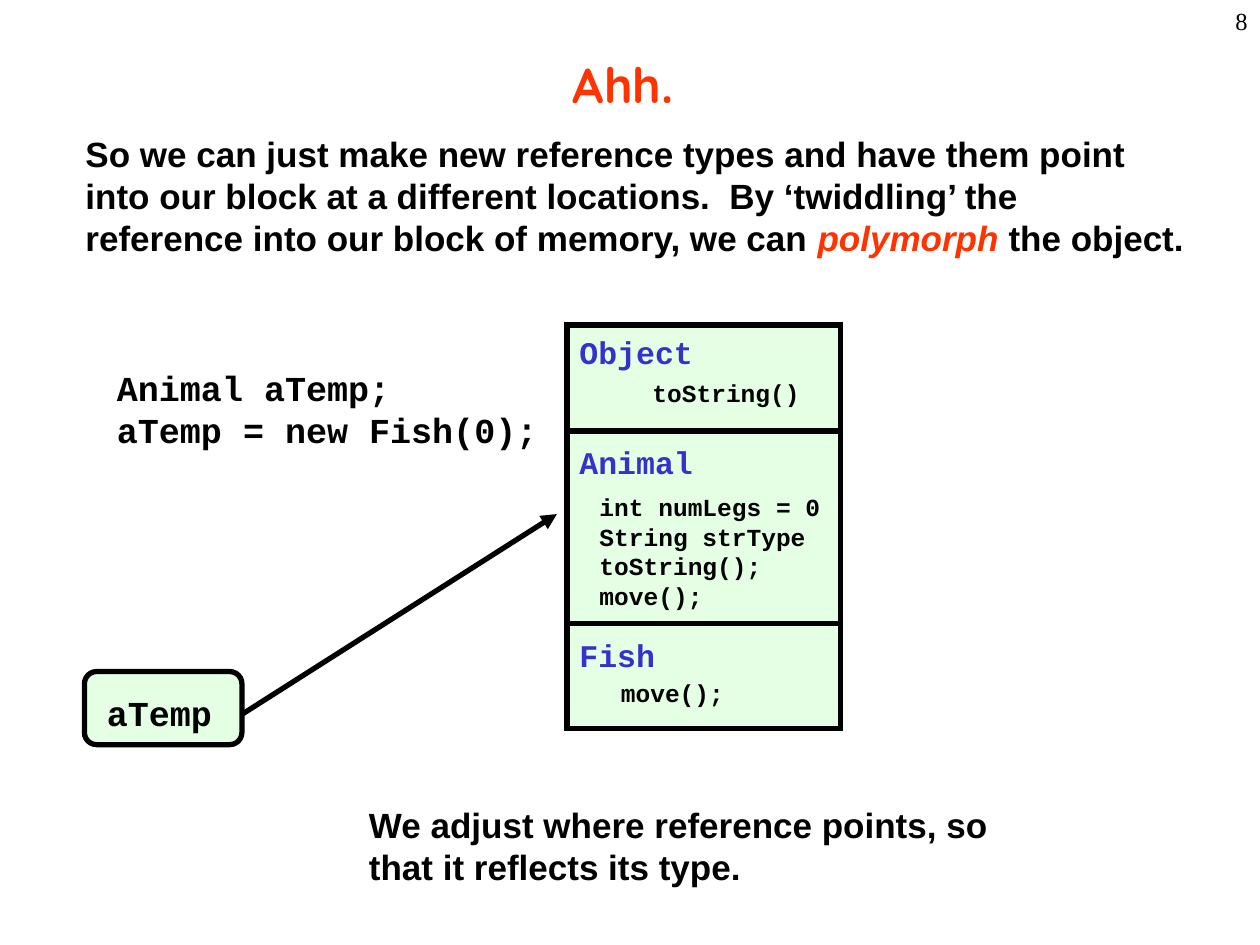
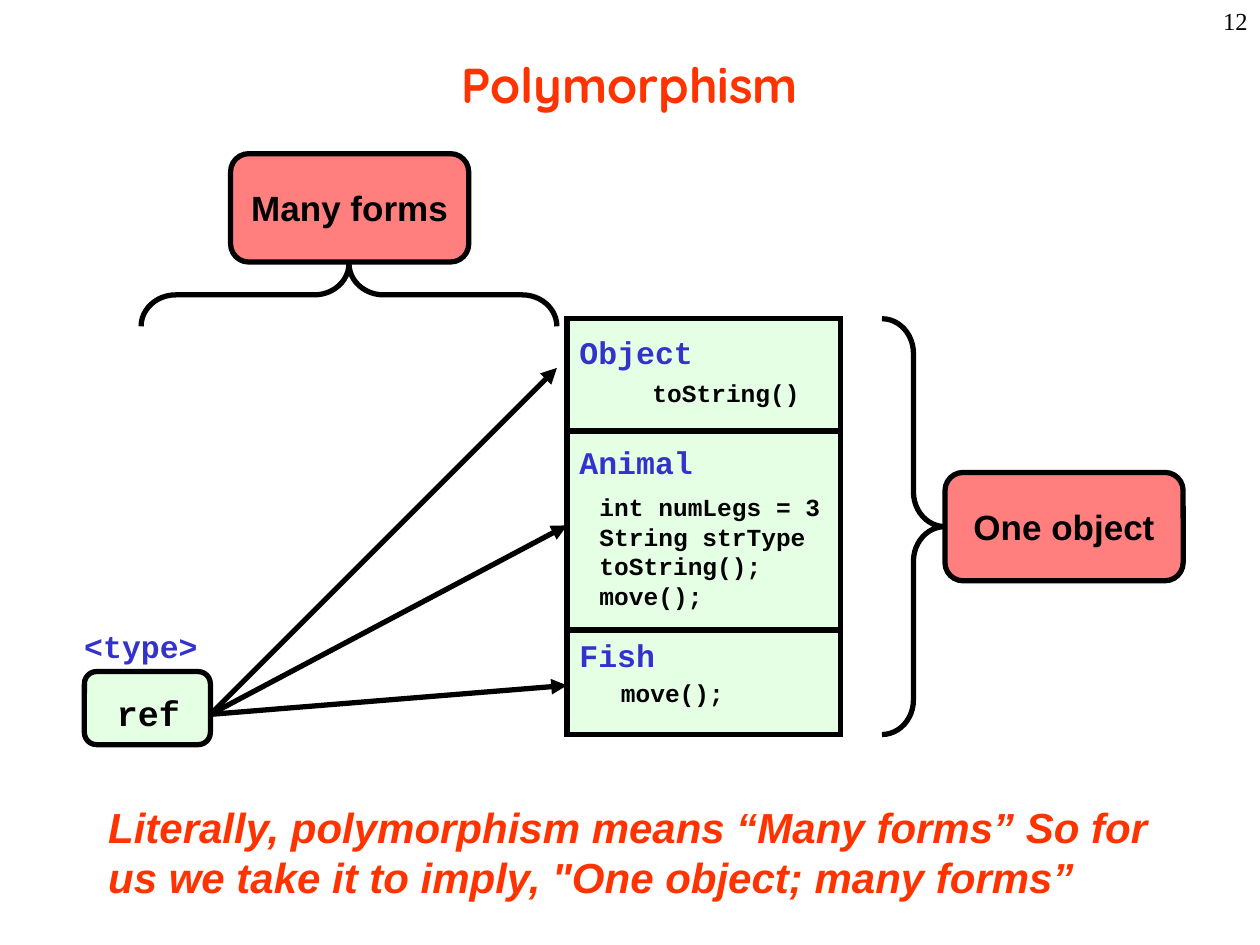
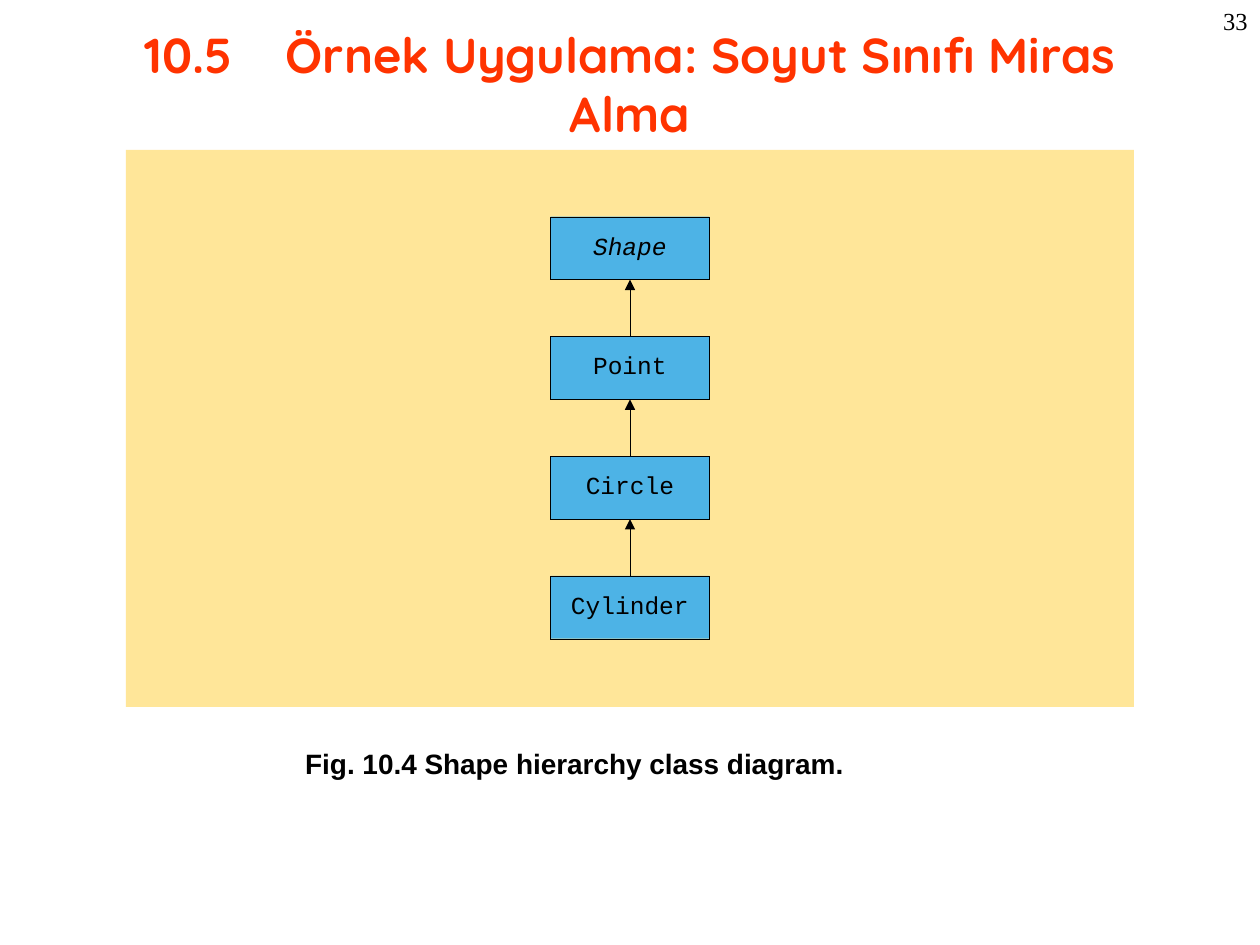
"""Build three slides on polymorphism and a class hierarchy."""
from dataclasses import dataclass

from lxml import etree
from pptx import Presentation
from pptx import slide as sl
from pptx import util as u
from pptx.dml import color
from pptx.enum import shapes, text
from pptx.oxml import ns
from pptx.shapes import autoshape as au
from pptx.shapes import connector as co
from pptx.text import text as tx

BLACK, RED, BLUE = "000000", "FF3300", "3333CC"
MINT, ROSE = "CCFFCC", "FF0000"
SAND, SKY = "FFE699", "4DB3E6"
SANS, MONO, HEAD, SERIF = "Arial", "Courier New", "Quicksand", "Times New Roman"
LEFT, MID, RIGHT = text.PP_ALIGN.LEFT, text.PP_ALIGN.CENTER, text.PP_ALIGN.RIGHT
RECT = shapes.MSO_SHAPE.RECTANGLE
ROUND = shapes.MSO_SHAPE.ROUNDED_RECTANGLE
BRACE = shapes.MSO_SHAPE.RIGHT_BRACE
THICK, THIN = 3, 0.2


@dataclass(frozen=True)
class Box:
    """A place on the slide, in inches."""
    x: float
    y: float
    w: float
    h: float

    def span(self) -> tuple:
        """Return left, top, width and height as lengths."""
        return tuple(u.Inches(v) for v in (self.x, self.y, self.w, self.h))


@dataclass(frozen=True)
class Font:
    """The look of a run."""
    size: float
    name: str = SANS
    color: str = BLACK
    bold: bool = True
    slant: bool = False


@dataclass(frozen=True)
class Run:
    """A piece of text with its look."""
    words: str
    font: Font


@dataclass(frozen=True)
class Label:
    """A free text, one tuple of runs for each paragraph."""
    box: Box
    lines: tuple
    align: text.PP_ALIGN = LEFT
    wrap: bool = False


BODY, CODE = Font(20), Font(20, MONO)
NAME, PART = Font(18, MONO, BLUE), Font(14, MONO)
TITLE = Font(28, HEAD, RED)
PAGE = Font(14, SERIF, bold=False)


def rgb(code: str) -> color.RGBColor:
    """Turn a hex string into a colour."""
    return color.RGBColor.from_string(code)


def plain(font: Font, *lines: str) -> tuple:
    """Make paragraphs of one run each."""
    return tuple((Run(line, font),) for line in lines)


def write(frame: tx.TextFrame, lines: tuple, align: text.PP_ALIGN) -> None:
    """Fill a text frame run by run."""
    for i, line in enumerate(lines):
        para = frame.paragraphs[0] if i == 0 else frame.add_paragraph()
        para.alignment = align
        for part in line:
            run = para.add_run()
            run.text = part.words
            font = run.font
            font.size, font.name = u.Pt(part.font.size), part.font.name
            font.bold, font.italic = part.font.bold, part.font.slant
            font.color.rgb = rgb(part.font.color)


def put(slide: sl.Slide, label: Label) -> None:
    """Add a text box."""
    frame = slide.shapes.add_textbox(*label.box.span()).text_frame
    frame.word_wrap = label.wrap
    frame.auto_size = text.MSO_AUTO_SIZE.SHAPE_TO_FIT_TEXT
    write(frame, label.lines, label.align)


def block(slide: sl.Slide, kind: shapes.MSO_SHAPE, box: Box, fill: str = "",
          line: float = 0, alpha: int = 100, lines: tuple = ()) -> au.Shape:
    """Add a preset shape, with centred text if any."""
    shape = slide.shapes.add_shape(kind, *box.span())
    shape.shadow.inherit = False
    if fill:
        shape.fill.solid()
        shape.fill.fore_color.rgb = rgb(fill)
        if alpha < 100:
            tint = shape._element.spPr.find(".//" + ns.qn("a:srgbClr"))
            etree.SubElement(tint, ns.qn("a:alpha"), val=str(alpha * 1000))
    else:
        shape.fill.background()
    if line:
        shape.line.color.rgb = rgb(BLACK)
        shape.line.width = u.Pt(line)
        edge = shape._element.spPr.find(ns.qn("a:ln"))
        etree.SubElement(edge, ns.qn("a:miter"), lim="800000")
    else:
        shape.line.fill.background()
    if lines:
        frame = shape.text_frame
        frame.word_wrap = False
        frame.vertical_anchor = text.MSO_ANCHOR.MIDDLE
        write(frame, lines, MID)
    return shape


def arrow(slide: sl.Slide, start: tuple, end: tuple, line: float) -> co.Connector:
    """Add a straight arrow between two points."""
    ends = [u.Inches(v) for v in start + end]
    link = slide.shapes.add_connector(shapes.MSO_CONNECTOR.STRAIGHT, *ends)
    link.line.color.rgb = rgb(BLACK)
    link.line.width = u.Pt(line)
    frame = link._element.spPr
    etree.SubElement(frame.find(ns.qn("a:ln")), ns.qn("a:tailEnd"), type="triangle")
    etree.SubElement(frame, ns.qn("a:effectLst"))
    return link


def brace(slide: sl.Slide, box: Box, turn: float = 0) -> None:
    """Add a curly brace."""
    shape = block(slide, BRACE, box, line=THICK)
    shape.adjustments[0] = 0.55
    shape.rotation = turn


def start(deck: Presentation, head: str, page: str) -> sl.Slide:
    """Add a slide with its title and page number."""
    slide = deck.slides.add_slide(deck.slide_layouts[5])
    title = slide.shapes.title
    box = Box(0.75, 0.08, 8.5, 1.17)
    title.left, title.top, title.width, title.height = box.span()
    frame = title.text_frame
    frame.word_wrap = True
    frame.auto_size = text.MSO_AUTO_SIZE.NONE
    frame.vertical_anchor = text.MSO_ANCHOR.MIDDLE
    if "\t" in head:
        props = frame.paragraphs[0]._p.get_or_add_pPr()
        tabs = etree.SubElement(props, ns.qn("a:tabLst"))
        etree.SubElement(tabs, ns.qn("a:tab"), pos=str(u.Inches(1.12)), algn="l")
    write(frame, plain(TITLE, head), MID)
    put(slide, Label(Box(7.92, 0, 2.08, 0.5), plain(PAGE, page), RIGHT, True))
    return slide


def stack(slide: sl.Slide, edges: tuple, legs: int) -> None:
    """Draw the object in memory as three joined class blocks."""
    for top, low in zip(edges, edges[1:]):
        block(slide, RECT, Box(4.5, top, 2.17, low - top), MINT, THICK, 50)
    for y, name in ((2.59, "Object"), (3.47, "Animal"), (5, "Fish")):
        put(slide, Label(Box(4.5, y, 1.15, 0.4), plain(NAME, name)))
    fields = (f"int numLegs = {legs}", "String strType", "toString();", "move();")
    put(slide, Label(Box(5.08, 2.95, 1.42, 0.34), plain(PART, "toString()")))
    put(slide, Label(Box(4.66, 3.86, 2, 1.04), plain(PART, *fields)))
    put(slide, Label(Box(4.83, 5.33, 1.07, 0.34), plain(PART, "move();")))


def holder(slide: sl.Slide, width: float, label: Label, ends: tuple) -> None:
    """Draw a reference with arrows to what it points at."""
    block(slide, ROUND, Box(0.67, 5.33, width, 0.58), MINT, THICK, 50)
    put(slide, label)
    for end in ends:
        arrow(slide, (0.67 + width, 5.67), end, THICK)


def adjust(deck: Presentation) -> None:
    """Show a reference that points inside the object."""
    slide = start(deck, "Ahh. ", "8")
    stack(slide, (2.58, 3.42, 4.95, 5.78), 0)
    name = Label(Box(0.75, 5.44, 1.1, 0.44), plain(CODE, "aTemp"))
    holder(slide, 1.25, name, ((4.42, 4.08),))
    put(slide, Label(Box(0.83, 2.86, 3.6, 0.77),
                     plain(CODE, "Animal aTemp;", "aTemp = new Fish(0);")))
    intro = (
        Run("So we can just make new reference types and have them point into our "
            "block at a different locations.  By ‘twiddling’ the reference into our "
            "block of memory, we can ", BODY),
        Run("polymorph", Font(20, color=RED, slant=True)),
        Run(" the object.", BODY),
    )
    put(slide, Label(Box(0.58, 1, 8.92, 1.44), (intro,), wrap=True))
    put(slide, Label(Box(2.83, 6.33, 5.2, 0.77),
                     plain(BODY, "We adjust where reference points, so",
                           "that it reflects its type.")))


def forms(deck: Presentation) -> None:
    """Show one object reached in many forms."""
    slide = start(deck, "Polymorphism", "12")
    stack(slide, (2.53, 3.42, 5, 5.83), 3)
    name = Label(Box(0.83, 5.44, 0.77, 0.44), plain(CODE, "ref"))
    holder(slide, 1, name, ((4.42, 2.92), (4.5, 4.17), (4.5, 5.44)))
    put(slide, Label(Box(0.57, 4.93, 1.15, 0.4), plain(NAME, "<type>")))
    for x, y, words in ((7.5, 3.75, "One object"), (1.83, 1.22, "Many forms")):
        block(slide, ROUND, Box(x, y, 1.89, 0.86), ROSE, THICK, 50, plain(BODY, words))
    brace(slide, Box(7, 2.53, 0.5, 3.3))
    brace(slide, Box(2.52, 0.69, 0.5, 3.3), 270)
    put(slide, Label(Box(0.76, 6.31, 8.55, 0.9),
                     plain(Font(24, color=RED, slant=True),
                           "Literally, polymorphism means “Many forms” So for",
                           'us we take it to imply, "One object; many forms”')))


def tree(deck: Presentation) -> None:
    """Show the class hierarchy as a chain of boxes."""
    slide = start(deck, "10.5\tÖrnek Uygulama: Soyut Sınıfı Miras Alma", "33")
    block(slide, RECT, Box(1, 1.19, 8, 4.42), SAND)
    above = None
    for i, name in enumerate(("Shape", "Point", "Circle", "Cylinder")):
        top = 1.72 + 0.95 * i
        font = Font(14, MONO, bold=False, slant=i == 0)
        node = block(slide, RECT, Box(4.37, top, 1.26, 0.5), SKY, THIN,
                     lines=plain(font, name))
        node.text_frame.paragraphs[0].line_spacing = 0.8
        if above:
            link = arrow(slide, (5, top), (5, top - 0.45), THIN)
            link.begin_connect(node, 0)
            link.end_connect(above, 2)
        above = node
    put(slide, Label(Box(2.04, 5.88, 5.04, 0.37),
                     plain(Font(16), "Fig. 10.4 Shape hierarchy class diagram."), MID, True))


def main() -> None:
    """Build and save the deck."""
    deck = Presentation()
    deck.slide_width, deck.slide_height = u.Inches(10), u.Inches(7.5)
    for make in (adjust, forms, tree):
        make(deck)
    deck.save("out.pptx")


if __name__ == "__main__":
    main()
